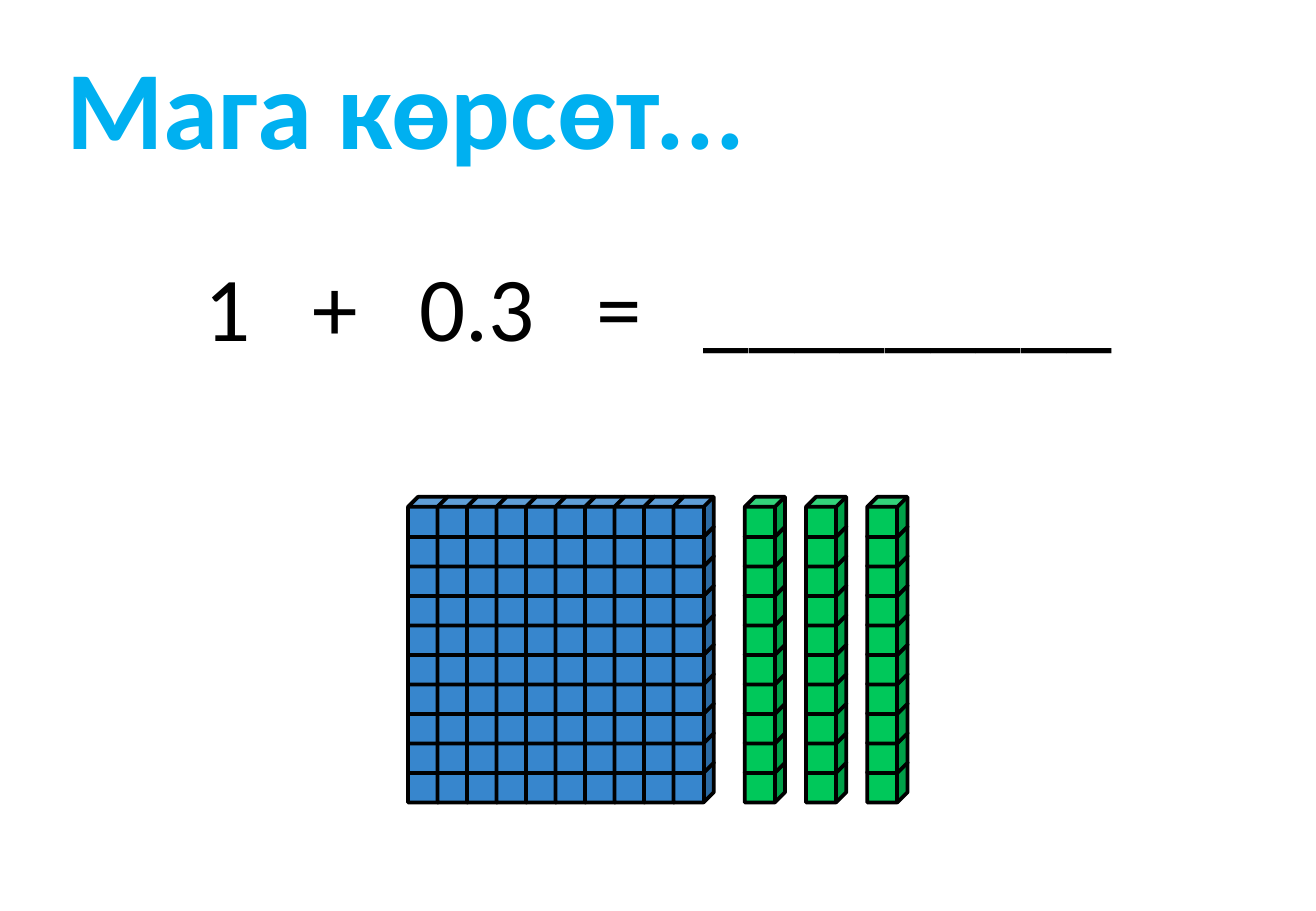
from dataclasses import dataclass

from lxml import etree
from pptx import Presentation
from pptx import util as u
from pptx.dml.color import RGBColor
from pptx.enum import shapes, text
from pptx.oxml import ns

HUES = {"title": "00B0F0", "ink": "000000", "one": "3786CD", "tenth": "00C85A"}
ROWS = 10
SIZE = 0.84
STEP = 5.55 / (ROWS - 1)
TOP = 10.39


@dataclass
class Block:
    left: float
    cols: int
    hue: str


BLOCKS = [Block(15.57 + 1.28 * i, 1, "tenth") for i in range(3)]
BLOCKS.append(Block(8.53, 10, "one"))


def color(name: str) -> RGBColor:
    return RGBColor.from_string(HUES[name])


def write(shape, words: str, *, size: int, hue: str, bold: bool = False,
          inset: float = 0.25, tabs: tuple[float, ...] = ()) -> None:
    frame = shape.text_frame
    frame.word_wrap = True
    frame.auto_size = text.MSO_AUTO_SIZE.NONE
    frame.vertical_anchor = text.MSO_ANCHOR.TOP
    frame.margin_left = u.Cm(inset)
    frame.margin_right = u.Cm(0)
    frame.margin_top = frame.margin_bottom = u.Cm(0.13)
    para = frame.paragraphs[0]
    para.alignment = text.PP_ALIGN.LEFT
    if tabs:
        stops = etree.SubElement(para._p.get_or_add_pPr(), ns.qn("a:tabLst"))
        for tab in tabs:
            etree.SubElement(stops, ns.qn("a:tab"), pos=str(u.Cm(tab)), algn="l")
    run = para.add_run()
    run.text = words
    run.font.name = "Calibri"
    run.font.size = u.Pt(size)
    run.font.bold = bold
    run.font.color.rgb = color(hue)


def stack(slide, block: Block) -> None:
    group = slide.shapes.add_group_shape()
    for col in range(block.cols):
        for row in reversed(range(ROWS)):
            cube = group.shapes.add_shape(
                shapes.MSO_SHAPE.CUBE,
                u.Cm(block.left + col * STEP), u.Cm(TOP + row * STEP),
                u.Cm(SIZE), u.Cm(SIZE))
            cube.shadow.inherit = False
            cube.fill.solid()
            cube.fill.fore_color.rgb = color(block.hue)
            cube.line.color.rgb = color("ink")
            cube.line.width = u.Pt(2.25)


def main() -> None:
    deck = Presentation()
    deck.slide_width, deck.slide_height = u.Cm(27.51), u.Cm(19.05)
    slide = deck.slides.add_slide(deck.slide_layouts[5])
    title = slide.shapes.title
    title.left, title.top = u.Cm(0.61), u.Cm(0.66)
    title.width, title.height = u.Cm(19.15), u.Cm(3.07)
    write(title, "Мага көрсөт...", size=66, hue="title", bold=True, inset=0.78)
    task = slide.shapes.add_textbox(u.Cm(3.91), u.Cm(5.11), u.Cm(19.69), u.Cm(2.57))
    write(task, "1\t+\t0.3\t=\t_________", size=54, hue="ink", inset=0.36,
          tabs=(2.26, 4.5, 8.2, 10.44))
    for block in BLOCKS:
        stack(slide, block)
    deck.save("out.pptx")


if __name__ == "__main__":
    main()
